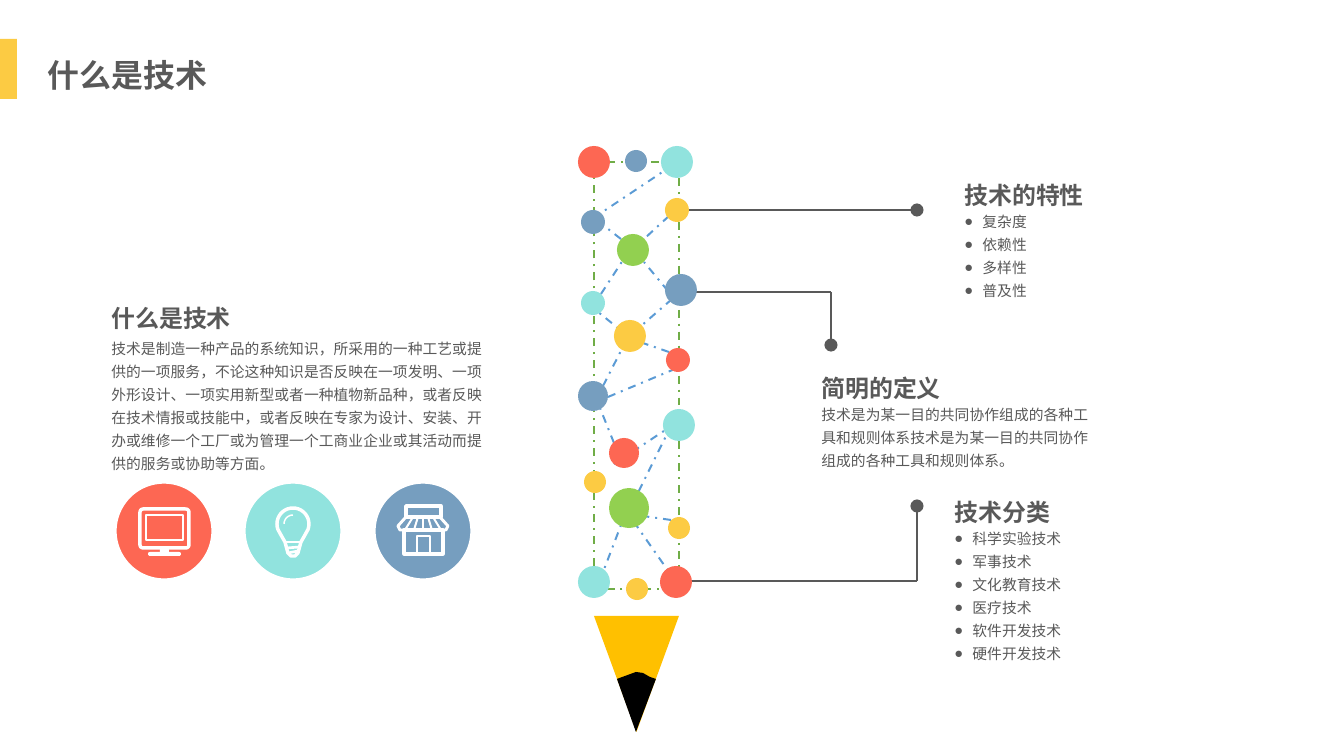
from math import cos, radians, sin

from lxml import etree
from pptx import Presentation
from pptx.dml.color import RGBColor
from pptx.enum.dml import MSO_LINE
from pptx.enum.shapes import MSO_CONNECTOR, MSO_SHAPE
from pptx.enum.text import MSO_ANCHOR, MSO_AUTO_SIZE, PP_ALIGN
from pptx.oxml.ns import qn
from pptx.util import Pt

PX = 914400 / 95.6
FONT = "Arial"
GREY = RGBColor(0x59, 0x59, 0x59)
WHITE = RGBColor(0xFF, 0xFF, 0xFF)
BLACK = RGBColor(0x00, 0x00, 0x00)
RED = RGBColor(0xFD, 0x67, 0x53)
TEAL = RGBColor(0x91, 0xE3, 0xDE)
STEEL = RGBColor(0x76, 0x9E, 0xBF)
YELLOW = RGBColor(0xFC, 0xCB, 0x43)
LIME = RGBColor(0x92, 0xD0, 0x50)
GOLD = RGBColor(0xFF, 0xC0, 0x00)
GREEN = RGBColor(0x70, 0xAD, 0x47)
BLUE = RGBColor(0x5B, 0x9B, 0xD5)
DASH = MSO_LINE.DASH_DOT
STRAIGHT = MSO_CONNECTOR.STRAIGHT
OVAL, RECT = MSO_SHAPE.OVAL, MSO_SHAPE.RECTANGLE
ROUND, TRIANGLE = MSO_SHAPE.ROUNDED_RECTANGLE, MSO_SHAPE.ISOSCELES_TRIANGLE
TOP, LEFT, NONE = MSO_ANCHOR.TOP, PP_ALIGN.LEFT, MSO_AUTO_SIZE.NONE

DOTS = [
    (43, 427, 22, YELLOW), (0, 0, 32, RED), (83, 0, 32, TEAL),
    (83, 48, 24, YELLOW), (-1, 60, 24, STEEL), (42, -1, 22, STEEL),
    (0, 420, 32, TEAL), (82, 420, 32, RED), (39, 88, 32, LIME),
    (-1, 234, 30, STEEL), (84, 198, 24, RED), (-1, 141, 24, TEAL),
    (85, 263, 32, TEAL), (87, 128, 32, STEEL), (85, 366, 22, YELLOW),
    (1, 320, 22, YELLOW), (35, 346, 40, LIME), (30, 291, 30, RED),
    (36, 174, 32, YELLOW),
]
LINKS = [
    (79, 3, 7, 51), (75, 54, 50, 77), (74, 129, 50, 100), (27, 77, 0, 56),
    (7, 132, 33, 92), (75, 190, 37, 177), (9, 224, 32, 179),
    (35, 175, -2, 145), (39, 171, 85, 131), (14, 235, 88, 204),
    (20, 281, 4, 241), (20, 302, 82, 261), (77, 358, 42, 353),
    (32, 350, 6, 418), (82, 420, 40, 360), (35, 349, 75, 268),
]


def emu(*vals):
    """Turn pixels into EMU."""
    return [round(v * PX) for v in vals]


def paint(shape, fill=None, line=None, width=1.5, dash=None):
    """Set the fill and outline of a shape."""
    shape.shadow.inherit = False
    if fill is None:
        shape.fill.background()
    else:
        shape.fill.solid()
        shape.fill.fore_color.rgb = fill
    if line is None:
        shape.line.fill.background()
    else:
        shape.line.color.rgb = line
        shape.line.width = Pt(width)
        if dash:
            shape.line.dash_style = dash
    return shape


def form(slide, kind, x, y, w, h, **look):
    """Add a painted preset shape."""
    return paint(slide.shapes.add_shape(kind, *emu(x, y, w, h)), **look)


def poly(slide, x, y, points, close=True, **look):
    """Add a painted outline whose points start from x, y."""
    spots = [emu(x + a, y + b) for a, b in points]
    pen = slide.shapes.build_freeform(*spots[0], scale=1.0)
    pen.add_line_segments(spots[1:], close=close)
    return paint(pen.convert_to_shape(), **look)


def wire(slide, x1, y1, x2, y2, color=GREY, width=1.5, dash=None, knob=False):
    """Add a straight line, with a round end if asked."""
    line = slide.shapes.add_connector(STRAIGHT, *emu(x1, y1, x2, y2))
    line.line.color.rgb = color
    line.line.width = Pt(width)
    if dash:
        line.line.dash_style = dash
    props = line._element.spPr
    if knob:
        etree.SubElement(props.find(qn("a:ln")), qn("a:tailEnd"),
                         type="oval", w="lg", len="lg")
    etree.SubElement(props, qn("a:effectLst"))


def write(shape, lines, size=11.1, bold=False, wrap=True, bullet=False):
    """Fill a text shape with one paragraph per line."""
    frame = shape.text_frame
    frame.word_wrap, frame.auto_size = wrap, NONE
    frame.vertical_anchor = TOP
    frame.text = "\n".join(lines)
    for para in frame.paragraphs:
        para.alignment, para.line_spacing = LEFT, 1.3
        font = para.runs[0].font
        font.size, font.bold, font.name = Pt(size), bold, FONT
        font.color.rgb = GREY
        etree.SubElement(font._element, qn("a:ea"), typeface=FONT)
        if bullet:
            props = para._p.get_or_add_pPr()
            indent, = emu(18)
            props.set("marL", str(indent))
            props.set("indent", str(-indent))
            etree.SubElement(props, qn("a:buFont"), typeface=FONT)
            etree.SubElement(props, qn("a:buChar"), char="●")


def arc(x, y, r, start, end):
    """List the points of an arc in steps of ten degrees."""
    turns = [radians(a) for a in range(start, end + 1, 10)]
    return [(x + r * cos(t), y + r * sin(t)) for t in turns]


def header(slide, x, y, w, h, title):
    """Place the accent bar and the slide title."""
    form(slide, RECT, x, y, 17, h, fill=YELLOW)
    shape = slide.shapes.title
    shape.left, shape.top, shape.width, shape.height = emu(x + 38, y, w, 54)
    write(shape, [title], size=24, bold=True, wrap=False)


def block(slide, x, y, w, h, head, lines, gap=36, bullet=False):
    """Place a heading with its body text below."""
    top = slide.shapes.add_textbox(*emu(x, y, 140, 44))
    write(top, [head], size=18, bold=True, wrap=False)
    body = slide.shapes.add_textbox(*emu(x, y + gap, w, h - gap))
    write(body, lines, bullet=bullet)


def callout(slide, points):
    """Draw a bent leader that ends in a knob."""
    for i, (start, end) in enumerate(zip(points, points[1:]), 2):
        wire(slide, *start, *end, knob=i == len(points))


def pencil(slide, x, y, w, h):
    """Draw the pencil of linked dots with its tip."""
    form(slide, RECT, x, y, w, h, line=GREEN, dash=DASH)
    tip = form(slide, TRIANGLE, x, y + h + 27, w, 116, fill=GOLD)
    tip._element.spPr.find(qn("a:xfrm")).set("flipV", "1")
    lead = [(23, 90), (42, 143), (62, 90), (56, 88), (49, 84), (42, 83)]
    poly(slide, x, y + h, lead, fill=BLACK)
    for a, b, c, d in LINKS:
        wire(slide, x + a, y + b, x + c, y + d, color=BLUE, dash=DASH)
    for a, b, size, color in DOTS:
        form(slide, OVAL, x + a - size / 2, y + b - size / 2, size, size,
             fill=color)


def screen(slide, x, y):
    """Draw the monitor icon."""
    frame = form(slide, ROUND, x + 26, y + 28, 49, 39, line=WHITE, width=2.6)
    frame.adjustments[0] = 0.08
    form(slide, RECT, x + 32, y + 34, 37, 25, line=WHITE, width=1.1)
    form(slide, RECT, x + 46, y + 68, 9, 4, fill=WHITE)
    base = form(slide, ROUND, x + 34, y + 71, 33, 4, fill=WHITE)
    base.adjustments[0] = 0.5


def bulb(slide, x, y):
    """Draw the light bulb icon."""
    foot = [(62, 54), (58, 61), (55, 72), (52, 75),
            (48, 75), (45, 72), (42, 61), (38, 54)]
    poly(slide, x, y, arc(50, 43, 16, 160, 380) + foot, line=WHITE, width=2.6)
    poly(slide, x, y, arc(50, 43, 9, 180, 270), close=False, line=WHITE,
         width=1.1)
    for a, b, c, d in [(42, 61, 58, 61), (44, 67, 56, 66), (45, 72, 55, 70)]:
        wire(slide, x + a, y + b, x + c, y + d, color=WHITE, width=2)


def shop(slide, x, y):
    """Draw the shop icon."""
    form(slide, RECT, x + 33, y + 25, 35, 11, line=WHITE, width=2.6)
    roof = [(33, 36), (67, 36), (75, 45), (73, 49), (27, 49), (25, 45)]
    poly(slide, x, y, roof, line=WHITE, width=2.2)
    for i in range(-2, 3):
        wire(slide, x + 50 + 5 * i, y + 36, x + 50 + 9 * i, y + 49,
             color=WHITE)
    form(slide, RECT, x + 31, y + 49, 39, 24, line=WHITE, width=2.4)
    form(slide, RECT, x + 44, y + 55, 13, 18, line=WHITE, width=1.1)


def badges(slide, x, y, w, size):
    """Spread the round icons evenly over the width."""
    kinds = [(RED, screen), (TEAL, bulb), (STEEL, shop)]
    for i, (color, draw) in enumerate(kinds):
        left = x + i * (w - size) // 2
        form(slide, OVAL, left, y, size, size, fill=color, line=WHITE, width=4)
        draw(slide, left, y)


def main():
    """Build the slide and save it."""
    deck = Presentation()
    deck.slide_width, deck.slide_height = emu(1344, 756)
    slide = deck.slides.add_slide(deck.slide_layouts[5])
    header(slide, 0, 39, 180, 60, "什么是技术")
    callout(slide, [(684, 581), (917, 581), (917, 506)])
    callout(slide, [(682, 210), (917, 210)])
    callout(slide, [(689, 292), (831, 292), (831, 345)])
    pencil(slide, 594, 162, 85, 427)
    block(slide, 102, 290, 390, 186, "什么是技术", [
        "技术是制造一种产品的系统知识，所采用的一种工艺或提供的一项服务，"
        "不论这种知识是否反映在一项发明、一项外形设计、一项实用新型或者一种植物新品种，"
        "或者反映在技术情报或技能中，或者反映在专家为设计、安装、"
        "开办或维修一个工厂或为管理一个工商业企业或其活动而提供的服务或协助等方面。"],
        gap=40)
    badges(slide, 114, 481, 359, 100)
    block(slide, 955, 167, 290, 138, "技术的特性",
          ["复杂度", "依赖性", "多样性", "普及性"], bullet=True)
    block(slide, 812, 360, 299, 116, "简明的定义", [
        "技术是为某一目的共同协作组成的各种工具和规则体系"
        "技术是为某一目的共同协作组成的各种工具和规则体系。"])
    block(slide, 945, 484, 287, 184, "技术分类",
          ["科学实验技术", "军事技术", "文化教育技术", "医疗技术",
           "软件开发技术", "硬件开发技术"], bullet=True)
    deck.save("out.pptx")


main()
